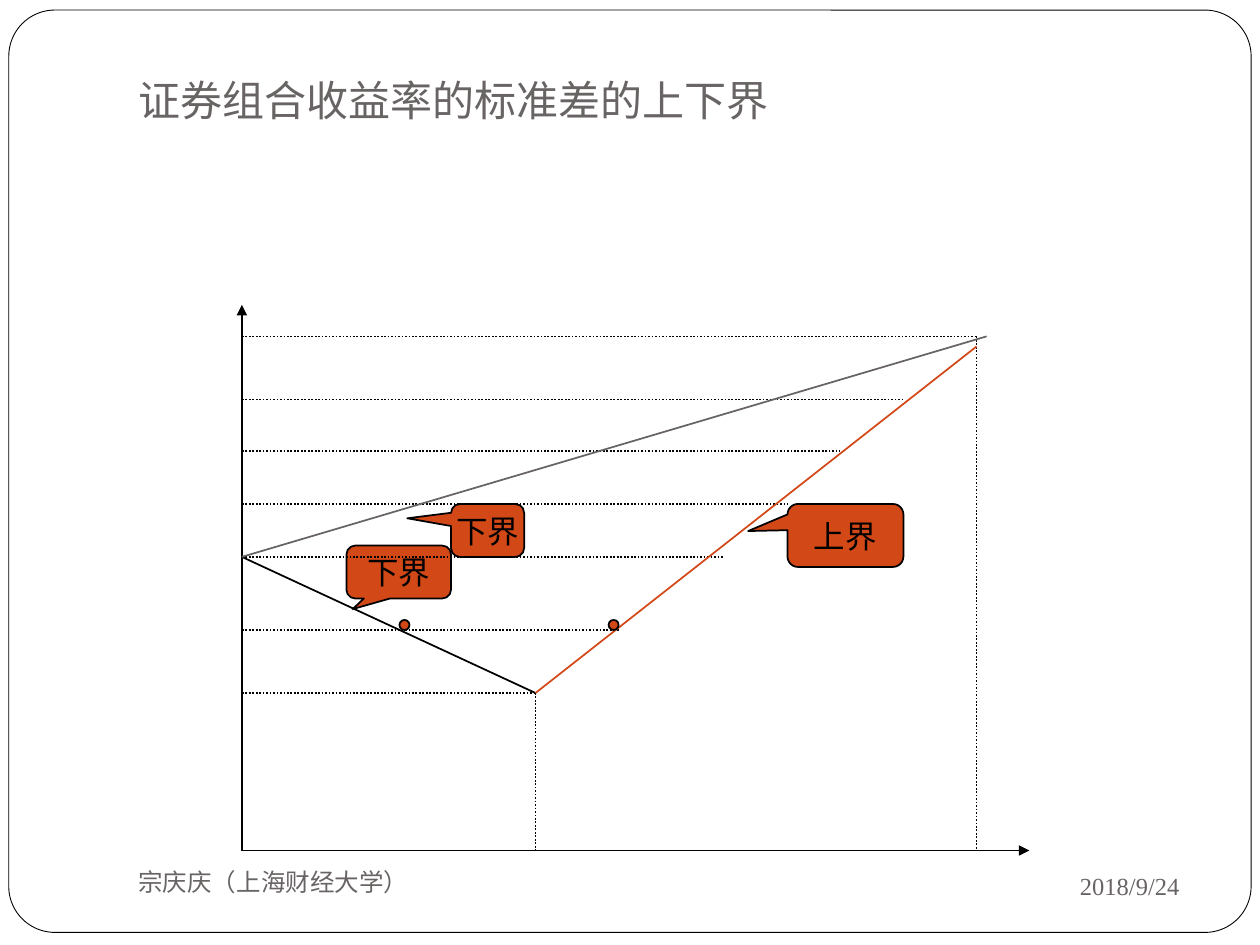
"""Build the slide on the bounds of a portfolio's standard deviation."""
from lxml import etree
from pptx import Presentation
from pptx.dml.color import RGBColor
from pptx.enum.dml import MSO_LINE
from pptx.enum.shapes import MSO_CONNECTOR, MSO_SHAPE
from pptx.enum.text import MSO_ANCHOR, PP_ALIGN
from pptx.oxml.ns import qn
from pptx.util import Inches, Pt

BLACK = RGBColor(0x00, 0x00, 0x00)
WHITE = RGBColor(0xFF, 0xFF, 0xFF)
GRAY = RGBColor(0x69, 0x64, 0x64)
ORANGE = RGBColor(0xD3, 0x48, 0x17)
STRAIGHT = MSO_CONNECTOR.STRAIGHT
DOTTED = MSO_LINE.ROUND_DOT
ROUNDED = MSO_SHAPE.ROUNDED_RECTANGLE
CALLOUT = MSO_SHAPE.ROUNDED_RECTANGULAR_CALLOUT
OVAL = MSO_SHAPE.OVAL
LEFT, CENTER, RIGHT = PP_ALIGN.LEFT, PP_ALIGN.CENTER, PP_ALIGN.RIGHT
MIDDLE, BOTTOM = MSO_ANCHOR.MIDDLE, MSO_ANCHOR.BOTTOM

AXIS_X, AXIS_Y = 1.92, 6.75
START_Y = 4.42
LOW_X, LOW_Y = 4.25, 5.5
HIGH_X, HIGH_Y = 7.75, 2.67


def add_figure(kind, left, top, width, height, fill, line_width=1):
    figure = page.shapes.add_shape(
        kind, Inches(left), Inches(top), Inches(width), Inches(height))
    figure.shadow.inherit = False
    figure.fill.solid()
    figure.fill.fore_color.rgb = fill
    figure.line.color.rgb = BLACK
    figure.line.width = Pt(line_width)
    return figure


def write_text(box, text, size, font, color, align, anchor, wrap=True):
    frame = box.text_frame
    frame.word_wrap = wrap
    frame.vertical_anchor = anchor
    para = frame.paragraphs[0]
    para.alignment = align
    span = para.add_run()
    span.text = text
    span.font.size = Pt(size)
    span.font.name = font
    span.font.color.rgb = color


deck = Presentation()
deck.slide_width = Inches(10)
deck.slide_height = Inches(7.5)
page = deck.slides.add_slide(deck.slide_layouts[6])

border = add_figure(ROUNDED, 0.07, 0.08, 9.86, 7.32, WHITE, 0.5)
border.adjustments[0] = 0.05

labels = [
    ("证券组合收益率的标准差的上下界", 1, 0.23, 8.5, 0.86, 24, "Roboto", LEFT, BOTTOM),
    ("2018/9/24", 6.75, 6.77, 2.71, 0.52, 14, "Times New Roman", RIGHT, MIDDLE),
    ("宗庆庆（上海财经大学）", 1, 6.75, 4.33, 0.5, 14, "Times New Roman", LEFT, MIDDLE),
]
for text, left, top, width, height, size, font, align, anchor in labels:
    box = page.shapes.add_textbox(
        Inches(left), Inches(top), Inches(width), Inches(height))
    write_text(box, text, size, font, GRAY, align, anchor)
    if anchor == BOTTOM:
        box.text_frame.margin_bottom = Inches(0.1)

callouts = [
    ("下界", 2.75, 4.33, 0.83, 0.42, -0.44, 0.7),
    ("上界", 6.25, 4, 0.92, 0.5, -0.84, -0.07),
    ("下界", 3.58, 4, 0.58, 0.42, -1.1, -0.23),
]
for text, left, top, width, height, tip_x, tip_y in callouts:
    callout = add_figure(CALLOUT, left, top, width, height, ORANGE)
    callout.adjustments[0] = tip_x
    callout.adjustments[1] = tip_y
    write_text(callout, text, 18, "Times New Roman", BLACK, CENTER, MIDDLE, False)

levels = [(LOW_X, LOW_Y), (4.92, 5), (5.75, START_Y), (6.25, 4),
          (6.67, 3.58), (7.17, 3.17), (HIGH_X, HIGH_Y)]
guides = [(AXIS_X, y, x, y) for x, y in levels]
guides += [(x, y, x, AXIS_Y) for x, y in (levels[0], levels[-1])]
axes = [(AXIS_X, AXIS_Y, 8.17, AXIS_Y), (AXIS_X, AXIS_Y, AXIS_X, 2.42)]
bounds = [
    ((AXIS_X, START_Y, LOW_X, LOW_Y), BLACK),
    ((LOW_X, LOW_Y, HIGH_X, 2.75), ORANGE),
    ((AXIS_X, START_Y, 7.83, HIGH_Y), GRAY),
]
lines = [(ends, BLACK) for ends in axes + guides] + bounds
for ends, color in lines:
    line = page.shapes.add_connector(STRAIGHT, *map(Inches, ends))
    line.line.color.rgb = color
    line.line.width = Pt(1)
    if ends in guides:
        line.line.dash_style = DOTTED
    if ends in axes:
        etree.SubElement(line.line._get_or_add_ln(), qn("a:tailEnd"), type="triangle")
    etree.SubElement(line._element.spPr, qn("a:effectLst"))

for left in (4.83, 3.17):
    add_figure(OVAL, left, 4.92, 0.08, 0.08, ORANGE)

deck.save("out.pptx")
